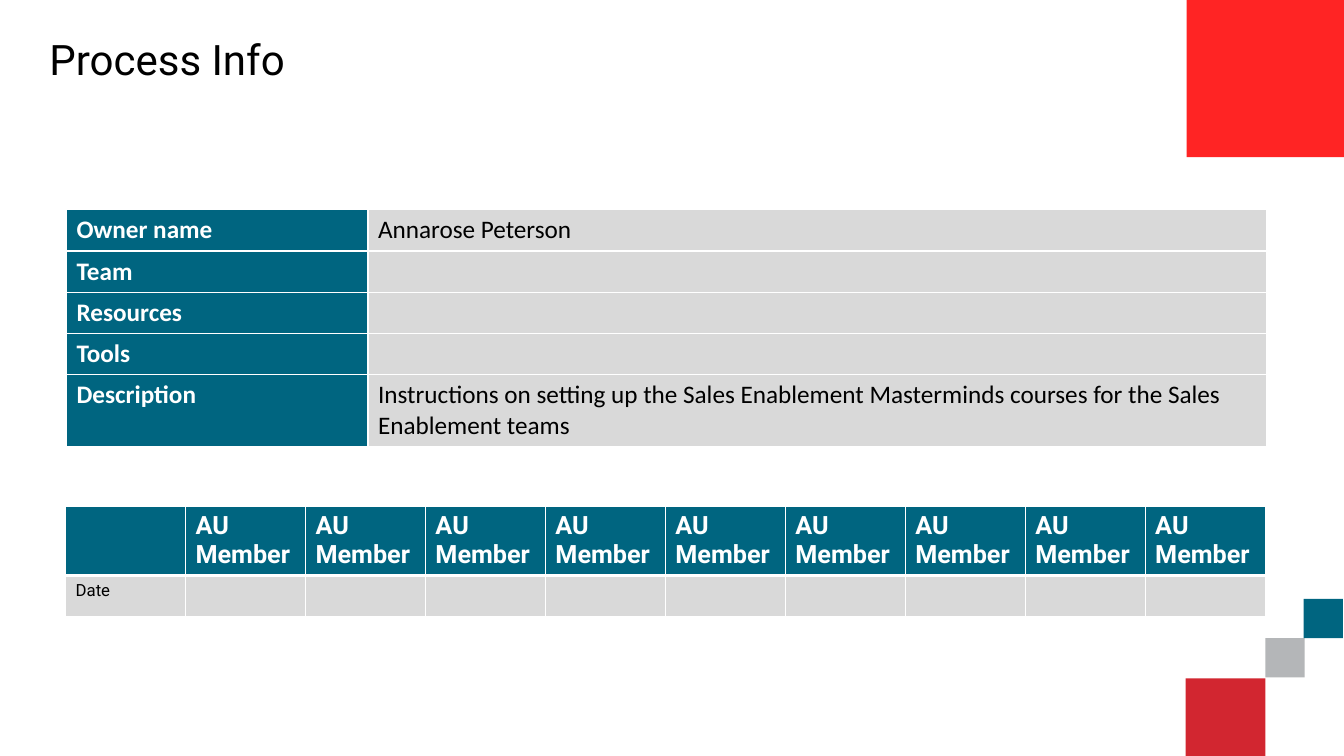
"""Build the Process Info slide with its two tables."""
from lxml.etree import SubElement
from pptx import Presentation
from pptx.dml.color import RGBColor
from pptx.enum.shapes import MSO_SHAPE
from pptx.enum.text import MSO_ANCHOR, PP_ALIGN
from pptx.oxml.ns import qn
from pptx.util import Inches, Pt

COLORS = {"teal": "006580", "gray": "B4B6B8", "crimson": "D22630", "red": "FF2424",
          "pale": "D9D9D9", "white": "FFFFFF", "black": "000000"}
LABEL = {"name": "Calibri", "size": Pt(18), "bold": True}
VALUE = {**LABEL, "bold": False}
HEAD = {**LABEL, "name": "Roboto"}
DATE = {"name": "Roboto", "size": Pt(12), "bold": False}
TITLE = {"name": "Roboto", "size": Pt(30), "bold": False}

SQUARES = [(12.55, 6.33, 0.39, "gray"), (12.93, 5.94, 0.39, "teal"),
           (11.76, 6.73, 0.79, "crimson"), (11.77, -0.01, 1.57, "red")]
OWNER = [
    ("Owner name", "Annarose Peterson"),
    ("Team", ""),
    ("Resources", ""),
    ("Tools", ""),
    ("Description", "Instructions on setting up the Sales Enablement Masterminds "
                    "courses for the Sales Enablement teams"),
]
MEMBERS = [[""] + ["AU Member"] * 9, ["Date"] + [""] * 9]


def rgb(name):
    return RGBColor.from_string(COLORS[name])


def style(font, values, color):
    for key, value in values.items():
        setattr(font, key, value)
    font.color.rgb = rgb(color)


def add_square(slide, left, top, side, color):
    shape = slide.shapes.add_shape(MSO_SHAPE.RECTANGLE, Inches(left), Inches(top),
                                   Inches(side), Inches(side))
    shape.shadow.inherit = False
    shape.fill.solid()
    shape.fill.fore_color.rgb = rgb(color)
    shape.line.fill.background()


def add_title(slide, text):
    title = slide.shapes.title
    box = {"left": 0.39, "top": 0.12, "width": 11.61, "height": 0.98}
    for key, value in box.items():
        setattr(title, key, Inches(value))
    title.text_frame.text = text
    title.text_frame.vertical_anchor = MSO_ANCHOR.MIDDLE
    para = title.text_frame.paragraphs[0]
    para.alignment = PP_ALIGN.LEFT
    para.line_spacing = 0.9
    style(para.runs[0].font, TITLE, "black")


def add_borders(cell, widths):
    props = cell._tc.get_or_add_tcPr()
    for side, width in zip("LRTB", widths):
        line = SubElement(props, qn(f"a:ln{side}"), w=str(Pt(width)))
        fill = SubElement(line, qn("a:solidFill"))
        SubElement(fill, qn("a:srgbClr"), val=COLORS["white"])


def add_grid(slide, left, top, cols, rows, texts, look):
    frame = slide.shapes.add_table(len(rows), len(cols), Inches(left), Inches(top),
                                   Inches(sum(cols)), Inches(sum(rows)))
    table = frame.table
    for col, width in zip(table.columns, cols):
        col.width = Inches(width)
    for row, height in zip(table.rows, rows):
        row.height = Inches(height)
    for r, line in enumerate(texts):
        for c, text in enumerate(line):
            cell = table.cell(r, c)
            values, fill, color, widths = look(r, c)
            add_borders(cell, widths)
            cell.fill.solid()
            cell.fill.fore_color.rgb = rgb(fill)
            cell.text = text
            for run in cell.text_frame.paragraphs[0].runs:
                style(run.font, values, color)


def owner_look(row, col):
    thin = (1, 1, 1, 1)
    return (VALUE, "pale", "black", thin) if col else (LABEL, "teal", "white", thin)


def member_look(row, col):
    if row:
        return DATE, "pale", "black", (1, 1, 3, 1)
    return HEAD, "teal", "white", (1, 1, 1, 3)


def main():
    deck = Presentation()
    deck.slide_width, deck.slide_height = Inches(13.33), Inches(7.5)
    slide = deck.slides.add_slide(deck.slide_layouts[5])
    for square in SQUARES:
        add_square(slide, *square)
    add_grid(slide, 0.66, 2.08, [2.99, 8.91], [0.41] * 4 + [0.7], OWNER, owner_look)
    add_grid(slide, 0.65, 5.02, [1.19] * 10, [0.69, 0.41], MEMBERS, member_look)
    add_title(slide, "Process Info")
    deck.save("out.pptx")


if __name__ == "__main__":
    main()
